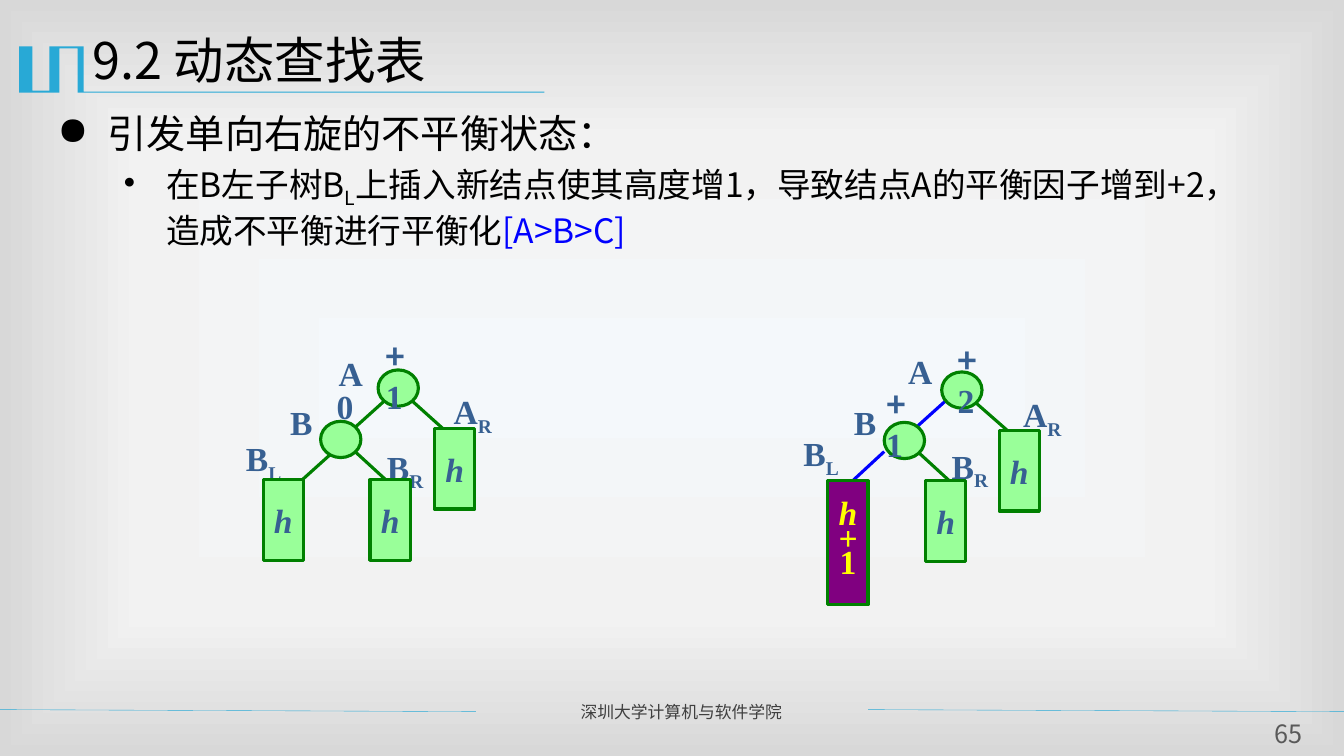
"""Build the slide on a single right rotation in a dynamic search tree."""
from dataclasses import dataclass

from lxml import etree
from pptx import Presentation
from pptx.dml.color import RGBColor
from pptx.enum.shapes import MSO_CONNECTOR, MSO_SHAPE
from pptx.enum.text import MSO_ANCHOR, PP_ALIGN
from pptx.oxml import parse_xml
from pptx.oxml.ns import nsdecls, qn
from pptx.util import Inches, Pt


@dataclass(frozen=True)
class Theme:
    """Colours, fonts and type sizes of the slide."""
    sans: str = "Noto Sans CJK SC"
    serif: str = "Times New Roman"
    black: str = "000000"
    accent: str = "28A9D6"
    footer: str = "3F3F3F"
    number: str = "595959"
    label: str = "376092"
    edge: str = "008000"
    node: str = "99FF99"
    changed: str = "0000FF"
    grown: str = "800080"
    grown_text: str = "FFFF00"
    title_size: int = 36
    heading_size: int = 28
    body_size: int = 24
    number_size: int = 18
    footer_size: int = 12


THEME = Theme()
BACKGROUND = ((0, "F4F8FB"), (63, "F2F2F2"), (100, "D8D8D8"))
EMBLEM = ((0.82, 0.46), (0.83, 0.46), (0.83, 0.91), (5.4, 0.91), (5.4, 0.92),
          (0.77, 0.92), (0.77, 0.48), (0.59, 0.48), (0.59, 0.92), (0.19, 0.92),
          (0.19, 0.46), (0.32, 0.46), (0.32, 0.9), (0.49, 0.9), (0.49, 0.46))
BALANCED = {
    "edges": ((3.99, 3.89, 4.48, 4.33, THEME.edge), (3.91, 3.89, 3.51, 4.25, THEME.edge),
              (3.51, 4.47, 3.99, 4.91, THEME.edge), (3.32, 4.47, 2.92, 4.83, THEME.edge)),
    "labels": (("A", "", 3.26, 3.45), ("A", "R", 4.4, 3.83), ("B", "", 2.78, 3.94),
               ("B", "R", 3.74, 4.38), ("B", "L", 2.34, 4.3)),
    "nodes": ((3.75, 3.67), (3.18, 4.18)),
    "subtrees": ((4.31, 4.25), (2.61, 4.76), (3.67, 4.76)),
    "factors": (("", "0", 3.24, 3.78), ("+", "1", 3.73, 3.28)),
}
UNBALANCED = {
    "edges": ((9.66, 3.98, 10.15, 4.41, THEME.edge), (9.42, 3.94, 9.02, 4.3, THEME.changed),
              (9.1, 4.48, 9.58, 4.92, THEME.edge), (8.77, 4.48, 8.37, 4.85, THEME.changed)),
    "labels": (("A", "", 8.91, 3.43), ("A", "R", 10.05, 3.86), ("B", "", 8.37, 3.94),
               ("B", "R", 9.34, 4.37), ("B", "L", 7.87, 4.25)),
    "nodes": ((9.34, 3.69), (8.77, 4.19)),
    "subtrees": ((9.91, 4.27), (9.18, 4.77)),
    "factors": (("+", "1", 8.69, 3.76), ("+", "2", 9.4, 3.32)),
}


def style_font(font, size, color, name=THEME.sans, bold=False):
    """Set size, colour and typeface for Latin and East Asian text."""
    font.size, font.bold, font.name = Pt(size), bold, name
    font.color.rgb = RGBColor.from_string(color)
    latin = font._element.find(qn("a:latin"))
    latin.addnext(parse_xml(f'<a:ea {nsdecls("a")} typeface="{name}"/>'))


def set_background(slide):
    """Fill the background with a gradient spreading from the centre."""
    stops = "".join(f'<a:gs pos="{place * 1000}"><a:srgbClr val="{color}"/></a:gs>'
                    for place, color in BACKGROUND)
    slide.background.fill.solid()
    solid = slide.background._cSld.find(".//" + qn("a:solidFill"))
    gradient = parse_xml(
        f'<a:gradFill {nsdecls("a")} rotWithShape="1"><a:gsLst>{stops}</a:gsLst>'
        '<a:path path="rect"><a:fillToRect l="50000" t="50000" r="50000" b="50000"/>'
        '</a:path></a:gradFill>')
    solid.getparent().replace(solid, gradient)


def add_line(slide, left, top, right, bottom, color, width):
    """Draw a straight line without a shadow."""
    line = slide.shapes.add_connector(MSO_CONNECTOR.STRAIGHT, Inches(left), Inches(top),
                                      Inches(right), Inches(bottom))
    line.line.color.rgb = RGBColor.from_string(color)
    line.line.width = Pt(width)
    etree.SubElement(line._element.spPr, qn("a:effectLst"))


def add_text_frame(slide, left, top, width, height, wrap=True):
    """Add a text box and return its text frame."""
    box = slide.shapes.add_textbox(Inches(left), Inches(top), Inches(width), Inches(height))
    box.text_frame.word_wrap = wrap
    return box.text_frame


def add_emblem(slide):
    """Draw the title ornament and its underline."""
    start, *rest = [(Inches(x), Inches(y)) for x, y in EMBLEM]
    builder = slide.shapes.build_freeform(*start, scale=1.0)
    builder.add_line_segments(rest, close=True)
    emblem = builder.convert_to_shape()
    emblem.shadow.inherit = False
    emblem.fill.solid()
    emblem.fill.fore_color.rgb = RGBColor.from_string(THEME.accent)
    emblem.line.fill.background()


def add_plain_text(slide, text, place, size, color, align=PP_ALIGN.LEFT, inset=True):
    """Add one line of text in the sans typeface."""
    frame = add_text_frame(slide, *place)
    if not inset:
        frame.margin_left = frame.margin_right = frame.margin_top = frame.margin_bottom = 0
    paragraph = frame.paragraphs[0]
    paragraph.text, paragraph.alignment = text, align
    style_font(paragraph.font, size, color)


def set_bullet(paragraph, mark, margin, hanging):
    """Give a paragraph a bullet with a hanging indent."""
    properties = paragraph._p.get_or_add_pPr()
    properties.set("marL", str(Inches(margin)))
    properties.set("indent", str(-Inches(hanging)))
    etree.SubElement(properties, qn("a:buChar")).set("char", mark)


def add_body(slide):
    """Add the bulleted explanation."""
    frame = add_text_frame(slide, 0.47, 1.04, 12.13, 1.83)
    heading = frame.paragraphs[0]
    heading.text = "引发单向右旋的不平衡状态："
    set_bullet(heading, "●", 0.5, 0.5)
    style_font(heading.font, THEME.heading_size, THEME.black)
    detail = frame.add_paragraph()
    detail.space_before = Pt(5)
    set_bullet(detail, "•", 1.08, 0.42)
    style_font(detail.font, THEME.body_size, THEME.black)
    for text in ("在B左子树B", "L", "上插入新结点使其高度增1，导致结点A的平衡因子增到+2，造成不平衡进行平衡化",
                 "[A>B>C]"):
        run = detail.add_run()
        run.text = text
        if text == "L":
            run.font._element.set("baseline", "-25000")
    run.font.color.rgb = RGBColor.from_string(THEME.changed)


def add_label(slide, name, subscript, left, top):
    """Name a node or subtree, with an optional subscript."""
    frame = add_text_frame(slide, left, top, 0.6, 0.5, wrap=False)
    paragraph = frame.paragraphs[0]
    style_font(paragraph.font, THEME.body_size, THEME.label, THEME.serif, bold=True)
    paragraph.add_run().text = name
    if subscript:
        run = paragraph.add_run()
        run.text = subscript
        run.font._element.set("baseline", "-25000")


def add_factor(slide, sign, digit, left, top):
    """Write a balance factor beside a node."""
    frame = add_text_frame(slide, left, top, 0.53, 0.5)
    paragraph = frame.paragraphs[0]
    for text, name in ((sign, THEME.sans), (digit, THEME.serif)):
        if text:
            run = paragraph.add_run()
            run.text = text
            style_font(run.font, THEME.body_size, THEME.label, name, bold=True)


def add_block(slide, kind, left, top, width, height, fill=THEME.node):
    """Draw a green-edged node or subtree."""
    shape = slide.shapes.add_shape(kind, Inches(left), Inches(top), Inches(width), Inches(height))
    shape.shadow.inherit = False
    shape.fill.solid()
    shape.fill.fore_color.rgb = RGBColor.from_string(fill)
    shape.line.color.rgb = RGBColor.from_string(THEME.edge)
    shape.line.width = Pt(2.25)
    return shape


def add_subtree(slide, left, top, lines=("h",), height=0.8, fill=THEME.node, color=THEME.label):
    """Draw a subtree box that states its height."""
    frame = add_block(slide, MSO_SHAPE.RECTANGLE, left, top, 0.4, height, fill).text_frame
    frame.word_wrap, frame.vertical_anchor = False, MSO_ANCHOR.MIDDLE
    frame.text = "\n".join(lines)
    for paragraph in frame.paragraphs:
        paragraph.alignment = PP_ALIGN.CENTER
        paragraph.line_spacing = 0.6 if len(lines) > 1 else 1.0
        style_font(paragraph.font, THEME.body_size, color, THEME.serif, bold=True)
        paragraph.font.italic = paragraph.text != "1"


def add_tree(slide, tree):
    """Draw a tree from its edges up to its balance factors."""
    for edge in tree["edges"]:
        add_line(slide, *edge, 2.25)
    for label in tree["labels"]:
        add_label(slide, *label)
    for node in tree["nodes"]:
        add_block(slide, MSO_SHAPE.OVAL, *node, 0.4, 0.36)
    for subtree in tree["subtrees"]:
        add_subtree(slide, *subtree)
    for factor in tree["factors"]:
        add_factor(slide, *factor)


def main():
    """Build and save the slide."""
    presentation = Presentation()
    presentation.slide_width, presentation.slide_height = Inches(13.33), Inches(7.5)
    slide = presentation.slides.add_slide(presentation.slide_layouts[6])
    set_background(slide)
    add_emblem(slide)
    for left, right in ((0, 4.72), (8.61, 13.33)):
        add_line(slide, left, 7.04, right, 7.06, THEME.accent, 0.25)
    add_plain_text(slide, "深圳大学计算机与软件学院", (5.66, 6.91, 2.85, 0.3), THEME.footer_size, THEME.footer)
    add_body(slide)
    add_plain_text(slide, "9.2 动态查找表", (0.82, 0.24, 12, 0.87), THEME.title_size, THEME.black)
    add_plain_text(slide, "65", (12.48, 7.13, 0.59, 0.31), THEME.number_size, THEME.number,
                   PP_ALIGN.CENTER, inset=False)
    add_tree(slide, BALANCED)
    add_tree(slide, UNBALANCED)
    add_subtree(slide, 8.21, 4.77, ("h", "+", "1"), 1.23, THEME.grown, THEME.grown_text)
    presentation.save("out.pptx")


if __name__ == "__main__":
    main()
